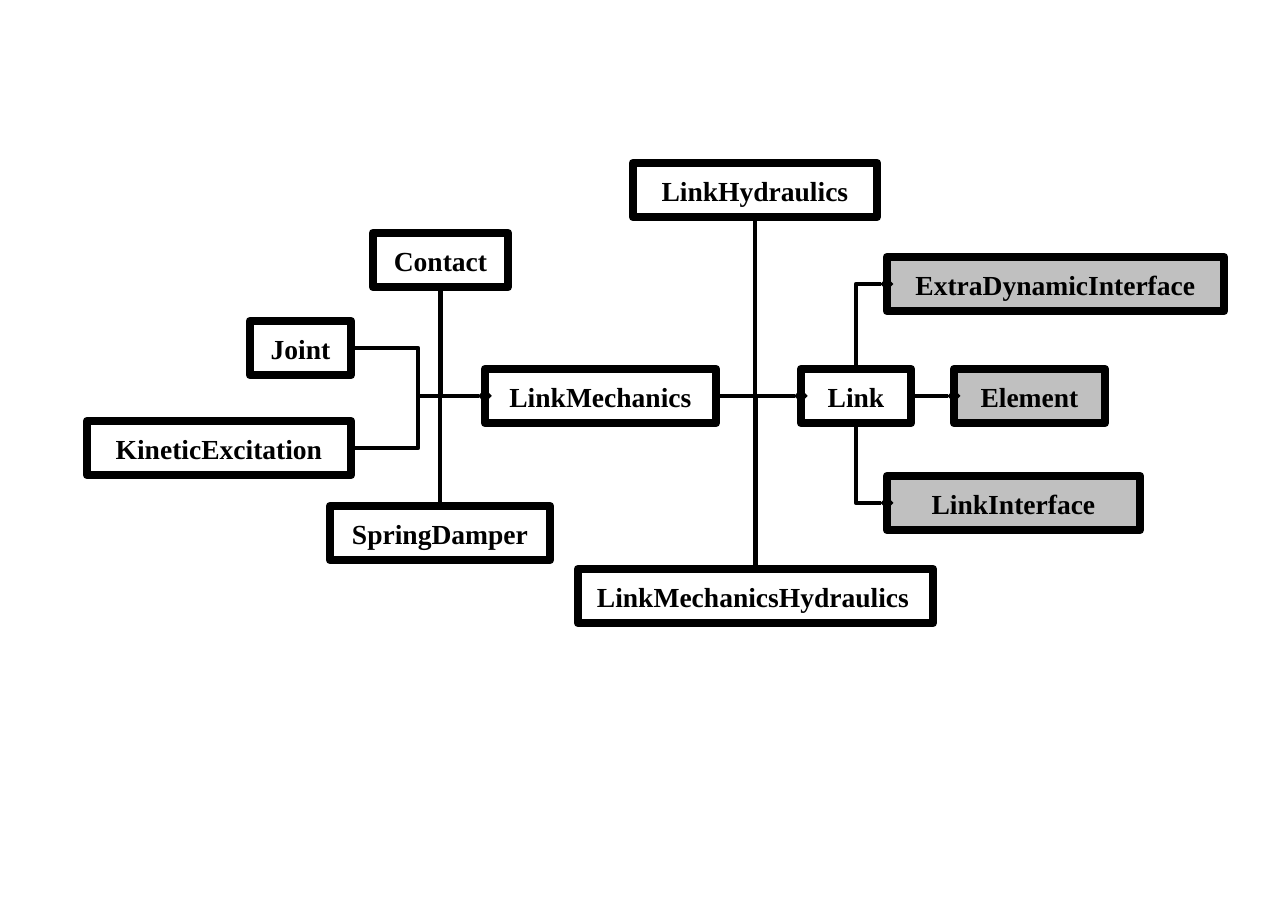
from dataclasses import dataclass

from lxml.etree import SubElement
from pptx import Presentation
from pptx.dml.color import RGBColor
from pptx.enum.shapes import MSO_CONNECTOR as Route, MSO_SHAPE as Preset
from pptx.enum.text import MSO_ANCHOR as Anchor, MSO_AUTO_SIZE as AutoSize, PP_ALIGN as Align
from pptx.oxml.ns import qn
from pptx.shapes.autoshape import Shape
from pptx.util import Emu, Pt

PIXELS_PER_INCH = 110.2
BOX_HEIGHT = 54
CLASS_ROW = 369  # top of the row that holds LinkMechanics, Link and Element
BLACK, GREY = "000000", "C0C0C0"
TOP, LEFT, BOTTOM, RIGHT = range(4)  # connection sites of a rectangle


def px(pixels: float) -> Emu:
    """Turn pixels into EMU."""
    return Emu(round(pixels * 914400 / PIXELS_PER_INCH))


def colour(code: str) -> RGBColor:
    """Turn a hex string into a colour."""
    return RGBColor.from_string(code)


FRAME_FORMAT = {
    "margin_left": px(19), "margin_right": px(19),
    "margin_top": px(11), "margin_bottom": px(11),
    "word_wrap": True, "vertical_anchor": Anchor.MIDDLE,
    "auto_size": AutoSize.SHAPE_TO_FIT_TEXT,
}
FONT_FORMAT = {"name": "Times New Roman", "size": Pt(18), "bold": True}


@dataclass(frozen=True)
class ClassBox:
    """A class of the diagram."""
    name: str
    left: int
    top: int
    width: int
    fill: str = ""
    align: Align = Align.CENTER


@dataclass(frozen=True)
class Relation:
    """A line from the diamond on the left of an owner to a side of a member."""
    owner: str
    member: str
    side: int


CLASSES = [
    ClassBox("LinkInterface", 887, 476, 253, GREY),
    ClassBox("Link", 801, CLASS_ROW, 110),
    ClassBox("Contact", 373, 233, 135),
    ClassBox("Joint", 250, 321, 101),
    ClassBox("ExtraDynamicInterface", 887, 257, 337, GREY),
    ClassBox("LinkMechanics", 485, CLASS_ROW, 231),
    ClassBox("LinkHydraulics", 633, 163, 244),
    ClassBox("LinkMechanicsHydraulics", 578, 569, 355, align=Align.LEFT),
    ClassBox("SpringDamper", 330, 506, 220),
    ClassBox("KineticExcitation", 87, 421, 264),
    ClassBox("Element", 954, CLASS_ROW, 151, GREY),
]
RELATIONS = [
    Relation("LinkInterface", "Link", BOTTOM),
    Relation("ExtraDynamicInterface", "Link", TOP),
    Relation("Element", "Link", RIGHT),
    Relation("Link", "LinkMechanics", RIGHT),
    Relation("Link", "LinkHydraulics", BOTTOM),
    Relation("Link", "LinkMechanicsHydraulics", TOP),
    Relation("LinkMechanics", "Contact", BOTTOM),
    Relation("LinkMechanics", "Joint", RIGHT),
    Relation("LinkMechanics", "KineticExcitation", RIGHT),
    Relation("LinkMechanics", "SpringDamper", TOP),
]


def apply_format(target: object, values: dict) -> None:
    """Set every attribute named in values."""
    for attribute, value in values.items():
        setattr(target, attribute, value)


def draw_class(box: ClassBox) -> Shape:
    """Draw a framed class name."""
    frame = slide.shapes.add_shape(
        Preset.RECTANGLE, px(box.left), px(box.top), px(box.width), px(BOX_HEIGHT))
    frame.shadow.inherit = False
    if box.fill:
        frame.fill.solid()
        frame.fill.fore_color.rgb = colour(box.fill)
    else:
        frame.fill.background()
    frame.line.color.rgb = colour(BLACK)
    frame.line.width = Pt(5.67)
    apply_format(frame.text_frame, FRAME_FORMAT)
    label = frame.text_frame.paragraphs[0]
    apply_format(label, {"alignment": box.align, "space_before": Pt(6.9)})
    name = label.add_run()
    name.text = box.name
    apply_format(name.font, FONT_FORMAT)
    name.font.color.rgb = colour(BLACK)
    return frame


def draw_relation(relation: Relation, frames: dict[str, Shape]) -> None:
    """Join an owner and a member with a diamond-headed line."""
    owner, member = frames[relation.owner], frames[relation.member]
    level = relation.side == RIGHT and owner.top == member.top
    route = Route.STRAIGHT if level else Route.ELBOW
    link = slide.shapes.add_connector(route, 0, 0, 0, 0)
    link.begin_connect(owner, LEFT)
    link.end_connect(member, relation.side)
    link.line.color.rgb = colour(BLACK)
    link.line.width = Pt(2.83)
    properties = link._element.spPr
    if relation.side != RIGHT:
        properties.find(qn("a:prstGeom")).set("prst", "bentConnector2")
    SubElement(properties.find(qn("a:ln")), qn("a:headEnd"), type="diamond")
    SubElement(properties, qn("a:effectLst"))


deck = Presentation()
deck.slide_width, deck.slide_height = px(1288), px(910)
slide = deck.slides.add_slide(deck.slide_layouts[6])

class_frames = {box.name: draw_class(box) for box in CLASSES}
for relation in RELATIONS:
    draw_relation(relation, class_frames)

deck.save("out.pptx")
